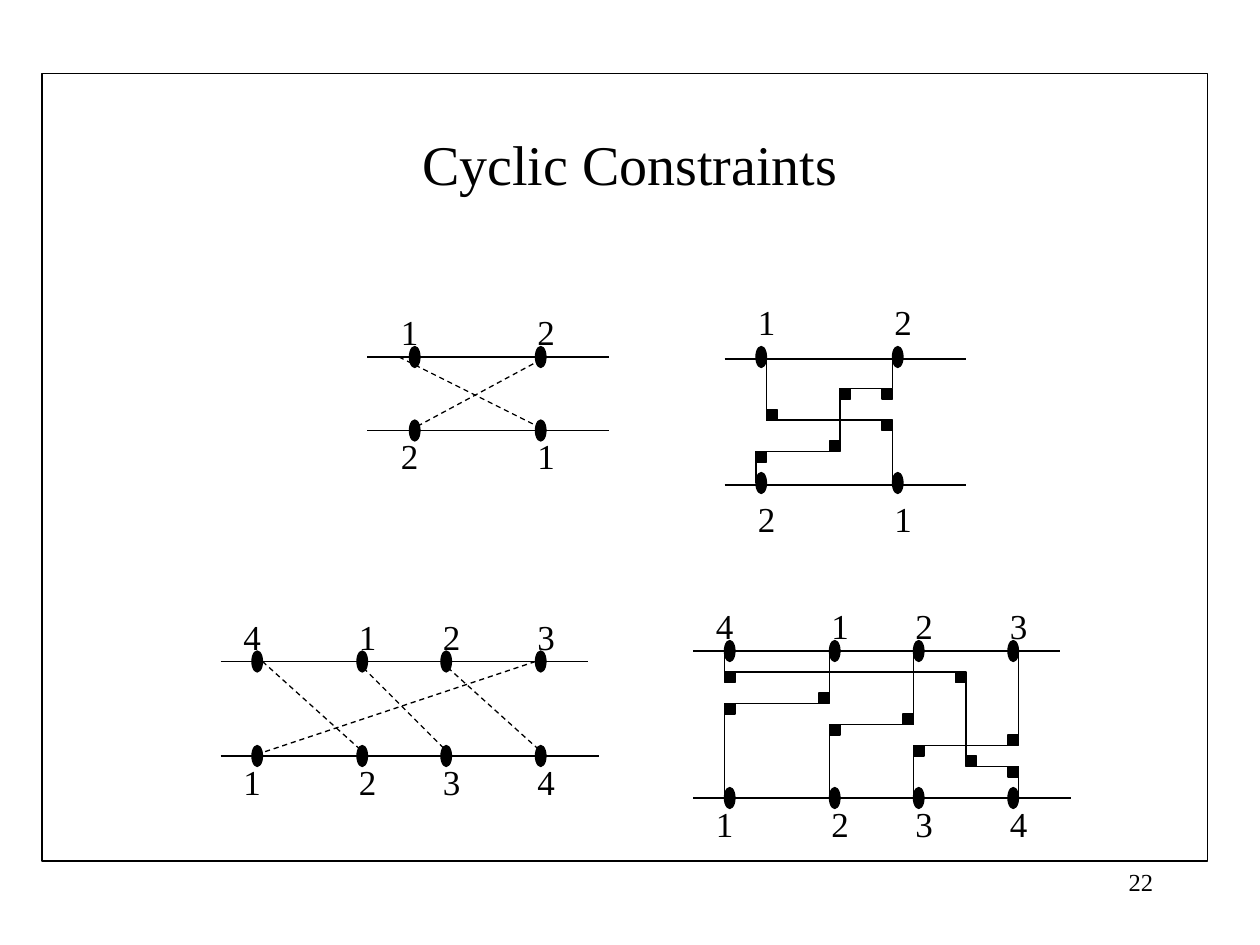
from itertools import pairwise

from lxml import etree
from pptx import Presentation
from pptx.dml.color import RGBColor
from pptx.enum.dml import MSO_LINE_DASH_STYLE as DASH
from pptx.enum.shapes import MSO_CONNECTOR as CONNECTOR, MSO_SHAPE as SHAPE
from pptx.enum.text import MSO_ANCHOR as ANCHOR, PP_ALIGN as ALIGN
from pptx.oxml.ns import qn
from pptx.util import Pt

COLORS = {"ink": "000000", "paper": "FFFFFF"}
FONT = "Times New Roman"
GRID = 6

CHANNELS = [
    dict(left=210, top=204, depth=7, widths=(23, 23), pins=(4, 16),
         labels=("12", "21"), dashed=True, marks=[],
         nets=[[(4, 7), (17, 0)], [(3, 0), (17, 7)]]),
    dict(left=414, top=204, depth=12, widths=(23, 23), pins=(3, 16),
         labels=("12", "21"), dashed=False,
         track_shift=1.2, first_label_shift=0, label_gaps=(36, 4.8),
         nets=[[(16, 0), (16, 3), (11, 3), (11, 9), (3, 9), (3, 12)],
               [(4, 0), (4, 6), (16, 6), (16, 12)]],
         marks=[(15, 3), (11, 3), (15, 6), (10, 8), (4, 5), (3, 9)]),
    dict(left=126, top=378, depth=9, widths=(35, 36), pins=(3, 13, 21, 30),
         labels=("4123", "1234"), dashed=True, marks=[],
         nets=[[(4, 0), (14, 9)], [(13, 0), (22, 9)],
               [(21, 0), (31, 9)], [(30, 0), (3, 9)]]),
    dict(left=396, top=372, depth=14, widths=(35, 36), pins=(3, 13, 21, 30),
         labels=("4123", "1234"), dashed=False,
         nets=[[(3, 0), (3, 2), (26, 2), (26, 11), (31, 11), (31, 14)],
               [(13, 0), (13, 5), (3, 5), (3, 14)],
               [(21, 0), (21, 7), (13, 7), (13, 14)],
               [(31, 0), (31, 9), (21, 9), (21, 14)]],
         marks=[(3, 2), (3, 5), (12, 4), (13, 7), (20, 6), (21, 9),
                (25, 2), (30, 8), (26, 10), (30, 11)]),
]


def color(name):
    return RGBColor.from_string(COLORS[name])


def format_text(frame, size, align):
    for para in frame.paragraphs:
        para.alignment = align
        for span in para.runs:
            span.font.name = FONT
            span.font.size = Pt(size)
            span.font.color.rgb = color("ink")


def add_label(page, left, top, width, height, text, size=20, align=ALIGN.LEFT):
    box = page.shapes.add_textbox(Pt(left), Pt(top), Pt(width), Pt(height))
    box.text_frame.word_wrap = True
    box.text_frame.text = text
    format_text(box.text_frame, size, align)


def add_line(page, start, end, dashed=False):
    line = page.shapes.add_connector(
        CONNECTOR.STRAIGHT, *[Pt(value) for value in (*start, *end)])
    line.line.color.rgb = color("ink")
    line.line.width = Pt(0.75)
    if dashed:
        line.line.dash_style = DASH.DASH
    etree.SubElement(line._element.spPr, qn("a:effectLst"))


def add_outline(page, kind, left, top, width, height, filled=True):
    shape = page.shapes.add_shape(kind, Pt(left), Pt(top), Pt(width), Pt(height))
    shape.shadow.inherit = False
    if filled:
        shape.fill.solid()
        shape.fill.fore_color.rgb = color("ink")
    else:
        shape.fill.background()
    shape.line.color.rgb = color("ink")
    shape.line.width = Pt(0.75)


def draw_title(page, left, top, width, height):
    title = page.shapes.title
    title.left, title.top = Pt(left), Pt(top)
    title.width, title.height = Pt(width), Pt(height)
    title.text_frame.text = "Cyclic Constraints"
    title.text_frame.vertical_anchor = ANCHOR.MIDDLE
    format_text(title.text_frame, 32, ALIGN.CENTER)


def draw_channel(page, left, top, depth, widths, pins, labels, dashed, nets, marks,
                 track_shift=0, first_label_shift=6, label_gaps=(30, -1.2)):
    def place(point):
        return left + point[0] * GRID, top + point[1] * GRID

    upper_gap, lower_gap = label_gaps
    rows = [(top, widths[0], labels[0], -upper_gap),
            (top + depth * GRID, widths[1], labels[1], lower_gap)]
    for row_top, width, names, gap in rows:
        track = row_top + track_shift
        add_line(page, (left, track), (left + width * GRID, track))
        for index, (pin, name) in enumerate(zip(pins, names)):
            pin_left = left + pin * GRID
            shift = first_label_shift if index == 0 else 0
            add_outline(page, SHAPE.OVAL, pin_left, row_top - GRID, GRID, 2 * GRID)
            add_label(page, pin_left - GRID - shift, row_top + gap, 30, 31.7, name)
    for net in nets:
        for start, end in pairwise(net):
            add_line(page, place(start), place(end), dashed)
    for mark in marks:
        add_outline(page, SHAPE.RECTANGLE, *place(mark), GRID, GRID)


def main():
    deck = Presentation()
    deck.slide_width, deck.slide_height = Pt(720), Pt(540)
    page = deck.slides.add_slide(deck.slide_layouts[5])
    page.background.fill.solid()
    page.background.fill.fore_color.rgb = color("paper")
    draw_title(page, 54, 48, 612, 90)
    add_label(page, 516, 492, 150, 36, "22", 14, ALIGN.RIGHT)
    add_outline(page, SHAPE.RECTANGLE, 24, 42, 666, 450, filled=False)
    for channel in CHANNELS:
        draw_channel(page, **channel)
    deck.save("out.pptx")


if __name__ == "__main__":
    main()
